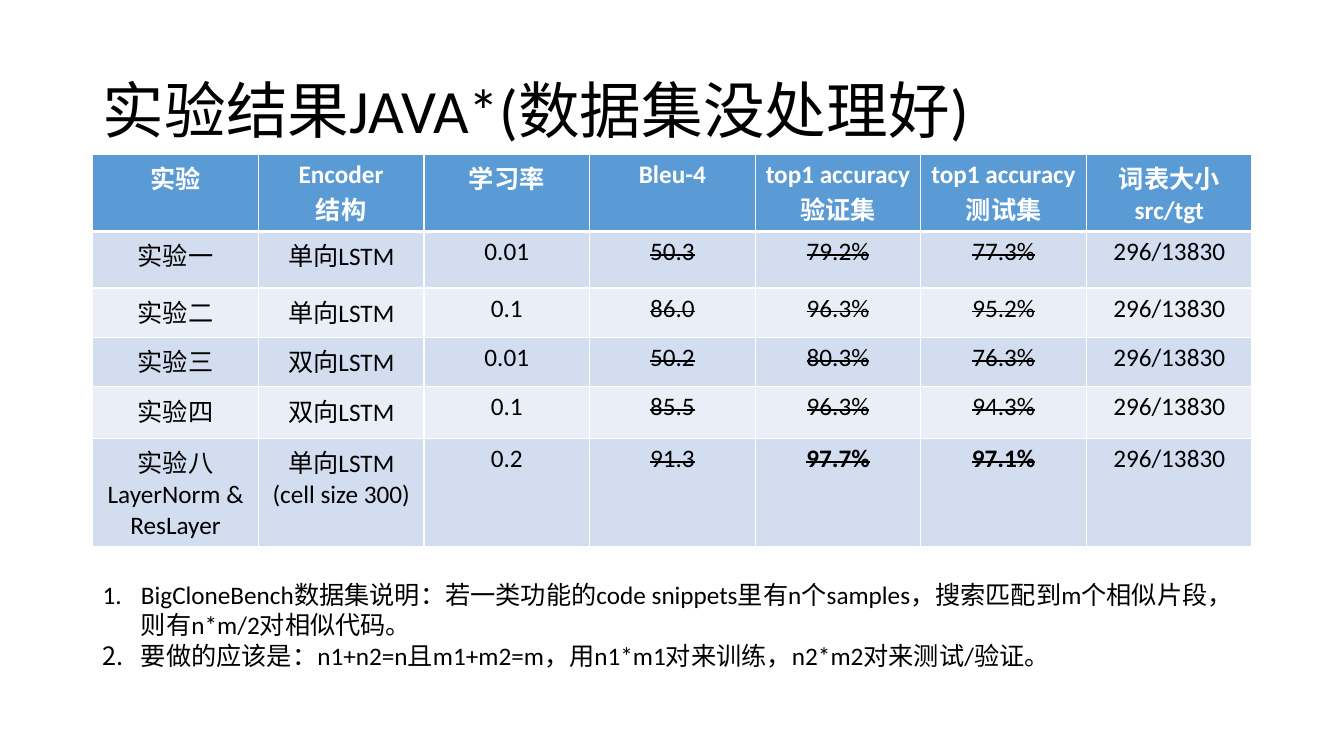
"""Build the slide with the JAVA experiment results table and its notes."""
import pptx
import pptx.dml.color
import pptx.enum.text
import pptx.oxml.ns
import pptx.util
from lxml import etree
from pptx.util import Inches

COLORS = {"text": "000000", "white": "FFFFFF", "header": "5B9BD5",
          "odd": "D2DEEF", "even": "EAEFF7"}
VOCABULARY = "296/13830"
RESULTS = [
    ["实验", "Encoder\n结构", "学习率", "Bleu-4", "top1 accuracy\n验证集",
     "top1 accuracy\n测试集", "词表大小\nsrc/tgt"],
    ["实验一", "单向LSTM", "0.01", "50.3", "79.2%", "77.3%", VOCABULARY],
    ["实验二", "单向LSTM", "0.1", "86.0", "96.3%", "95.2%", VOCABULARY],
    ["实验三", "双向LSTM", "0.01", "50.2", "80.3%", "76.3%", VOCABULARY],
    ["实验四", "双向LSTM", "0.1", "85.5", "96.3%", "94.3%", VOCABULARY],
    ["实验八\nLayerNorm & ResLayer", "单向LSTM\n(cell size 300)", "0.2", "91.3",
     "97.7%", "97.1%", VOCABULARY],
]
ROW_HEIGHTS = [0.6, 0.56, 0.49, 0.49, 0.51, 0.6]
NOTES = [
    "BigCloneBench数据集说明：若一类功能的code snippets里有n个samples，搜索匹配到m个相似片段，则有n*m/2对相似代码。",
    "要做的应该是：n1+n2=n且m1+m2=m，用n1*m1对来训练，n2*m2对来测试/验证。",
]
LEFT, WIDTH = Inches(0.92), Inches(11.5)


def add_run(paragraph, text, size, color="text", bold=False):
    run = paragraph.add_run()
    run.text = text
    run.font.name = "Calibri"
    run.font.size = pptx.util.Pt(size)
    run.font.bold = bold
    run.font.color.rgb = pptx.dml.color.RGBColor.from_string(COLORS[color])
    return run


def add_border(cell, side, points):
    qn = pptx.oxml.ns.qn
    line = etree.SubElement(cell._tc.get_or_add_tcPr(), qn(f"a:ln{side}"),
                            w=str(pptx.util.Pt(points)))
    fill = etree.SubElement(line, qn("a:solidFill"))
    etree.SubElement(fill, qn("a:srgbClr"), val=COLORS["white"])


deck = pptx.Presentation()
deck.slide_width, deck.slide_height = Inches(13.33), Inches(7.5)
slide = deck.slides.add_slide(deck.slide_layouts[5])

title = slide.shapes.title
title.left, title.top, title.width, title.height = LEFT, Inches(0.4), WIDTH, Inches(1.45)
title.text_frame.vertical_anchor = pptx.enum.text.MSO_ANCHOR.MIDDLE
heading = title.text_frame.paragraphs[0]
heading.alignment = pptx.enum.text.PP_ALIGN.LEFT
heading.line_spacing = 0.9
add_run(heading, "实验结果JAVA*(数据集没处理好)", 44)

results = slide.shapes.add_table(len(RESULTS), len(RESULTS[0]), LEFT, Inches(1.53),
                                 WIDTH, Inches(sum(ROW_HEIGHTS))).table
for column in results.columns:
    column.width = WIDTH // len(RESULTS[0])

for row, (values, height) in enumerate(zip(RESULTS, ROW_HEIGHTS)):
    results.rows[row].height = Inches(height)
    is_header = row == 0
    band = "header" if is_header else "odd" if row % 2 else "even"
    for col, value in enumerate(values):
        cell = results.cell(row, col)
        for side in "LRTB":
            under_header = (row, side) in [(0, "B"), (1, "T")]
            add_border(cell, side, 3 if under_header else 1)
        cell.fill.solid()
        cell.fill.fore_color.rgb = pptx.dml.color.RGBColor.from_string(COLORS[band])
        is_struck = not is_header and col in (3, 4, 5)
        is_best = value in ("97.7%", "97.1%")
        for index, text in enumerate(value.split("\n")):
            frame = cell.text_frame
            paragraph = frame.add_paragraph() if index else frame.paragraphs[0]
            paragraph.alignment = pptx.enum.text.PP_ALIGN.CENTER
            run = add_run(paragraph, text, 18, "white" if is_header else "text",
                          is_header or is_best)
            if is_struck:
                run._r.get_or_add_rPr().set("strike", "sngStrike")

notes = slide.shapes.add_textbox(LEFT, Inches(5.7), WIDTH, Inches(1.01)).text_frame
notes.word_wrap = True
notes.auto_size = pptx.enum.text.MSO_AUTO_SIZE.SHAPE_TO_FIT_TEXT
for index, note in enumerate(NOTES):
    paragraph = notes.add_paragraph() if index else notes.paragraphs[0]
    properties = paragraph._p.get_or_add_pPr()
    properties.set("marL", str(Inches(0.38)))
    properties.set("indent", str(Inches(-0.38)))
    etree.SubElement(properties, pptx.oxml.ns.qn("a:buFont"), typeface="+mj-lt")
    etree.SubElement(properties, pptx.oxml.ns.qn("a:buAutoNum"), type="arabicPeriod")
    add_run(paragraph, note, 18)

deck.save("out.pptx")
